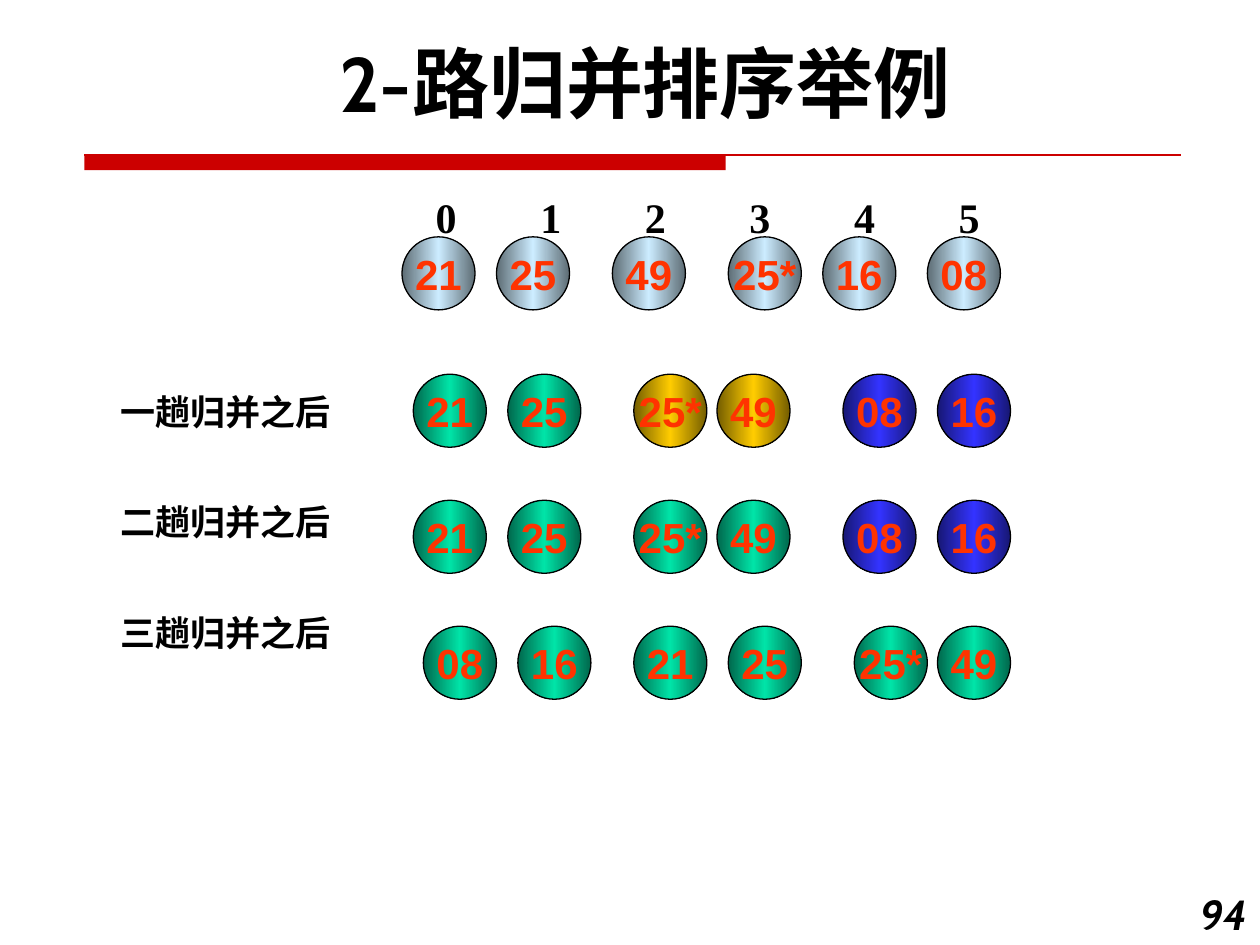
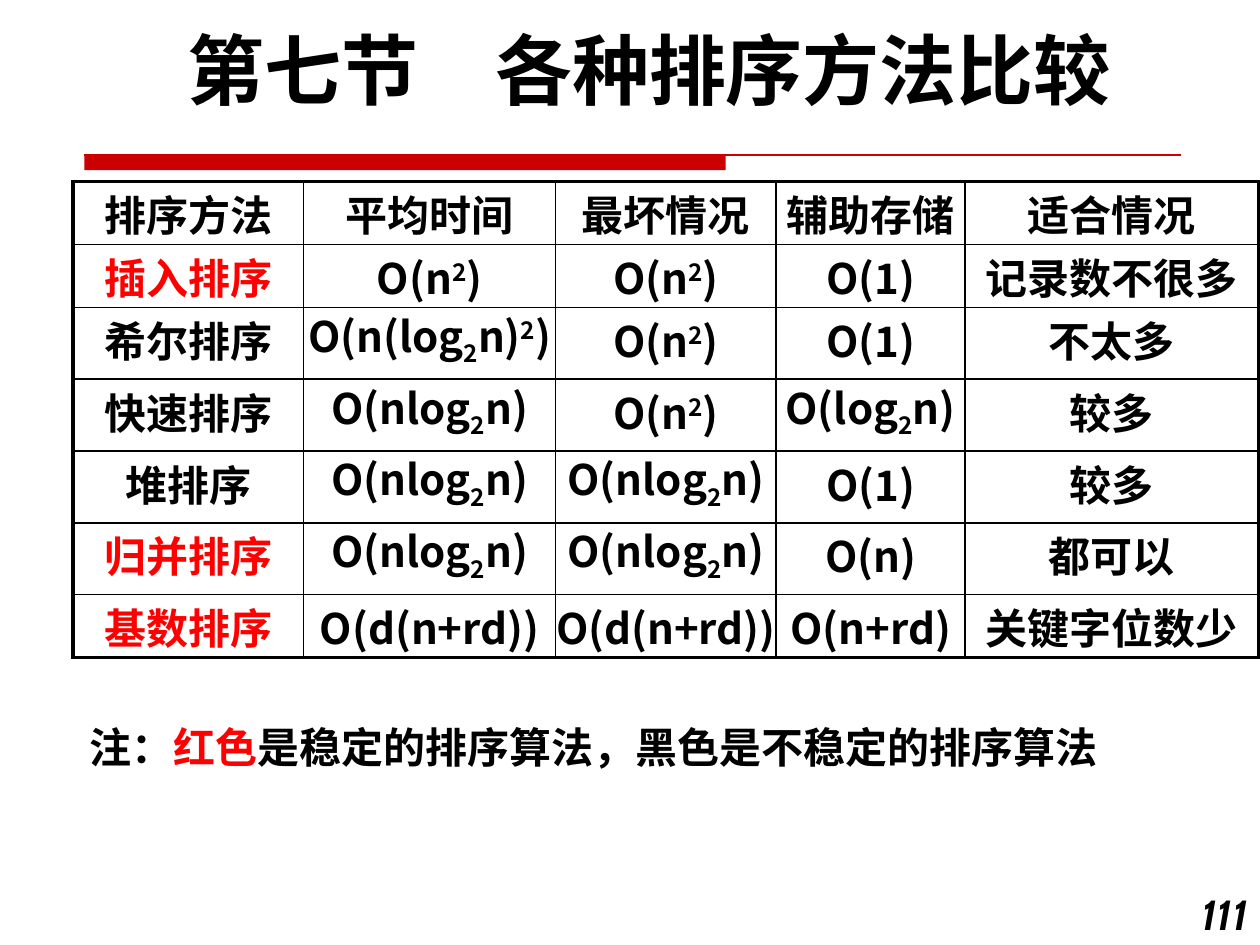
from copy import deepcopy
from itertools import groupby

from lxml.etree import SubElement
from pptx import Presentation
from pptx.dml.color import RGBColor
from pptx.enum.shapes import MSO_CONNECTOR as CONN, MSO_SHAPE as SHAPE
from pptx.enum.text import MSO_ANCHOR as ANCHOR, MSO_AUTO_SIZE as AUTO, PP_ALIGN as ALIGN
from pptx.oxml.ns import qn
from pptx.util import Inches, Pt

BLACK = RGBColor(0x00, 0x00, 0x00)
RED = RGBColor(0xFF, 0x00, 0x00)
BAND = RGBColor(0xCC, 0x00, 0x00)
NUMBER = RGBColor(0xFF, 0x33, 0x00)
# Edge and centre colours of the ball gradients
GREY = RGBColor(0x5D, 0x6C, 0x74), RGBColor(0xCC, 0xEC, 0xFF)
GREEN = RGBColor(0x00, 0x68, 0x4C), RGBColor(0x00, 0xE4, 0xA8)
GOLD = RGBColor(0x74, 0x5D, 0x00), RGBColor(0xFF, 0xCC, 0x00)
BLUE = RGBColor(0x17, 0x17, 0x74), RGBColor(0x33, 0x33, 0xFF)

HEAD_FONT = "Cabin"
CJK_FONT = "Noto Sans CJK SC"
BASELINES = {"²": 30000, "₂": -25000}


def add_run(p, text, size=24, font=HEAD_FONT, color=BLACK):
    r = p.add_run()
    r.text = text
    r.font.size = Pt(size)
    r.font.bold = True
    r.font.color.rgb = color
    r.font.name = font
    SubElement(r._r.get_or_add_rPr(), qn("a:ea"), typeface=CJK_FONT)
    return r


def add_text_box(s, x, y, w, h, wrap=True):
    tf = s.shapes.add_textbox(Inches(x), Inches(y), Inches(w), Inches(h)).text_frame
    tf.word_wrap = wrap
    return tf


prs = Presentation()
prs.slide_width, prs.slide_height = Inches(10), Inches(7.5)
layout = prs.slide_layouts[5]

# Titles and page numbers
slides = []
for title, x, y, page in [
    ("2-路归并排序举例", 0.5, 0.23, "94"),
    ("第七节　各种排序方法比较", 0.53, 0.13, "111"),
]:
    s = prs.slides.add_slide(layout)
    slides.append(s)
    sp = s.shapes.title
    sp.left, sp.top, sp.width, sp.height = Inches(x), Inches(y), Inches(9.25), Inches(0.84)
    tf = sp.text_frame
    tf.auto_size = AUTO.NONE
    tf.vertical_anchor = ANCHOR.TOP
    p = tf.paragraphs[0]
    p.alignment = ALIGN.CENTER
    add_run(p, title, 44)

    p = add_text_box(s, 9.33, 7, 0.67, 0.5).paragraphs[0]
    p.alignment = ALIGN.RIGHT
    add_run(p, page).font.italic = True

merge_slide, compare_slide = slides

# Red band and rule, moved to the shared layout
band = merge_slide.shapes.add_shape(
    SHAPE.RECTANGLE, Inches(0.67), Inches(1.23), Inches(5.09), Inches(0.12))
band.shadow.inherit = False
band.fill.solid()
band.fill.fore_color.rgb = BAND
band.line.fill.background()
rule = merge_slide.shapes.add_connector(
    CONN.STRAIGHT, Inches(0.67), Inches(1.23), Inches(9.37), Inches(1.23))
rule.line.color.rgb = BAND
rule.line.width = Pt(0.75)
SubElement(rule.element.spPr, qn("a:effectLst"))
for sp in (band, rule):
    layout.shapes.element.append(sp.element)

# Merge sort: index row on tab stops
p = add_text_box(merge_slide, 3.36, 1.47, 4.87, 0.5, wrap=False).paragraphs[0]
add_run(p, "\t".join("012345"), font="Times New Roman")
tabs = SubElement(p._p.get_or_add_pPr(), qn("a:tabLst"))
for i in range(1, 6):
    SubElement(tabs, qn("a:tab"), pos=str(Inches(i * 0.83)), algn="l")

# Merge sort: one row of balls per pass
PAIRS_LEFT = [3.28, 4.03, 5.03, 5.69, 6.69, 7.44]
BALL_ROWS = [
    (1.88, [3.19, 3.94, 4.86, 5.78, 6.53, 7.36], "21 25 49 25* 16 08", [GREY] * 6),
    (2.97, PAIRS_LEFT, "21 25 25* 49 08 16", [GREEN] * 2 + [GOLD] * 2 + [BLUE] * 2),
    (3.97, PAIRS_LEFT, "21 25 25* 49 08 16", [GREEN] * 4 + [BLUE] * 2),
    (4.97, [3.36, 4.11, 5.03, 5.78, 6.78, 7.44], "08 16 21 25 25* 49", [GREEN] * 6),
]
for y, lefts, keys, colors in BALL_ROWS:
    for x, key, (edge, centre) in zip(lefts, keys.split(), colors):
        ball = merge_slide.shapes.add_shape(
            SHAPE.OVAL, Inches(x), Inches(y), Inches(0.58), Inches(0.58))
        ball.shadow.inherit = False
        ball.line.color.rgb = BLACK
        ball.line.width = Pt(0.75)
        ball.fill.gradient()
        ball.fill.gradient_angle = 0
        stops = ball.element.spPr.find(".//" + qn("a:gsLst"))
        stops.insert(1, deepcopy(stops[0]))
        for stop, position, color in zip(
                ball.fill.gradient_stops, (0, 0.5, 1), (edge, centre, edge)):
            stop.position = position
            stop.color.rgb = color
        tf = ball.text_frame
        tf.word_wrap = False
        tf.vertical_anchor = ANCHOR.MIDDLE
        p = tf.paragraphs[0]
        p.alignment = ALIGN.CENTER
        add_run(p, key, font="Arial", color=NUMBER)

tf = add_text_box(merge_slide, 0.86, 3.05, 2.08, 2.43)
for i, label in enumerate(["一趟归并之后", "二趟归并之后", "三趟归并之后"]):
    p = tf.add_paragraph() if i else tf.paragraphs[0]
    if i:
        p.space_before = Pt(39)
    add_run(p, label, 20)

# Comparison table
ROWS = [
    ("排序方法", "平均时间", "最坏情况", "辅助存储", "适合情况"),
    ("插入排序", "O(n²)", "O(n²)", "O(1)", "记录数不很多"),
    ("希尔排序", "O(n(log₂n)²)", "O(n²)", "O(1)", "不太多"),
    ("快速排序", "O(nlog₂n)", "O(n²)", "O(log₂n)", "较多"),
    ("堆排序", "O(nlog₂n)", "O(nlog₂n)", "O(1)", "较多"),
    ("归并排序", "O(nlog₂n)", "O(nlog₂n)", "O(n)", "都可以"),
    ("基数排序", "O(d(n+rd))", "O(d(n+rd))", "O(n+rd)", "关键字位数少"),
]
STABLE = {"插入排序", "归并排序", "基数排序"}
COL_WIDTHS = [1.83, 2, 1.75, 1.5, 2.33]
last_row, last_col = len(ROWS) - 1, len(COL_WIDTHS) - 1

table = compare_slide.shapes.add_table(
    len(ROWS), len(COL_WIDTHS), Inches(0.58), Inches(1.44), Inches(9.42), Inches(3.77)).table
table.first_row = table.horz_banding = False
for column, width in zip(table.columns, COL_WIDTHS):
    column.width = Inches(width)
for i, texts in enumerate(ROWS):
    has_subscript = any("₂" in text for text in texts)
    table.rows[i].height = Inches(0.57 if has_subscript else 0.5)
    for j, text in enumerate(texts):
        cell = table.cell(i, j)
        cell.fill.background()
        cell.margin_left = cell.margin_right = cell.margin_bottom = 0
        cell.margin_top = Inches(0.05)
        p = cell.text_frame.paragraphs[0]
        p.alignment = ALIGN.CENTER
        p.line_spacing = Pt(32)
        color = RED if text in STABLE else BLACK
        for baseline, chars in groupby(text, lambda ch: BASELINES.get(ch, 0)):
            part = "2" if baseline else "".join(chars)
            r = add_run(p, part, font=CJK_FONT, color=color)
            if baseline:
                r._r.get_or_add_rPr().set("baseline", str(baseline))

        tc_pr = cell._tc.get_or_add_tcPr()
        outer_edges = [("L", j == 0), ("R", j == last_col), ("T", i == 0), ("B", i == last_row)]
        for k, (side, is_outer) in enumerate(outer_edges):
            ln = SubElement(tc_pr, qn("a:ln" + side), w=str(Pt(2.25 if is_outer else 1)))
            SubElement(SubElement(ln, qn("a:solidFill")), qn("a:srgbClr"), val=str(BLACK))
            tc_pr.insert(k, ln)

p = add_text_box(compare_slide, 0.61, 5.68, 8.32, 0.5, wrap=False).paragraphs[0]
add_run(p, "注：")
add_run(p, "红色", color=RED)
add_run(p, "是稳定的排序算法，黑色是不稳定的排序算法")

prs.save("out.pptx")
